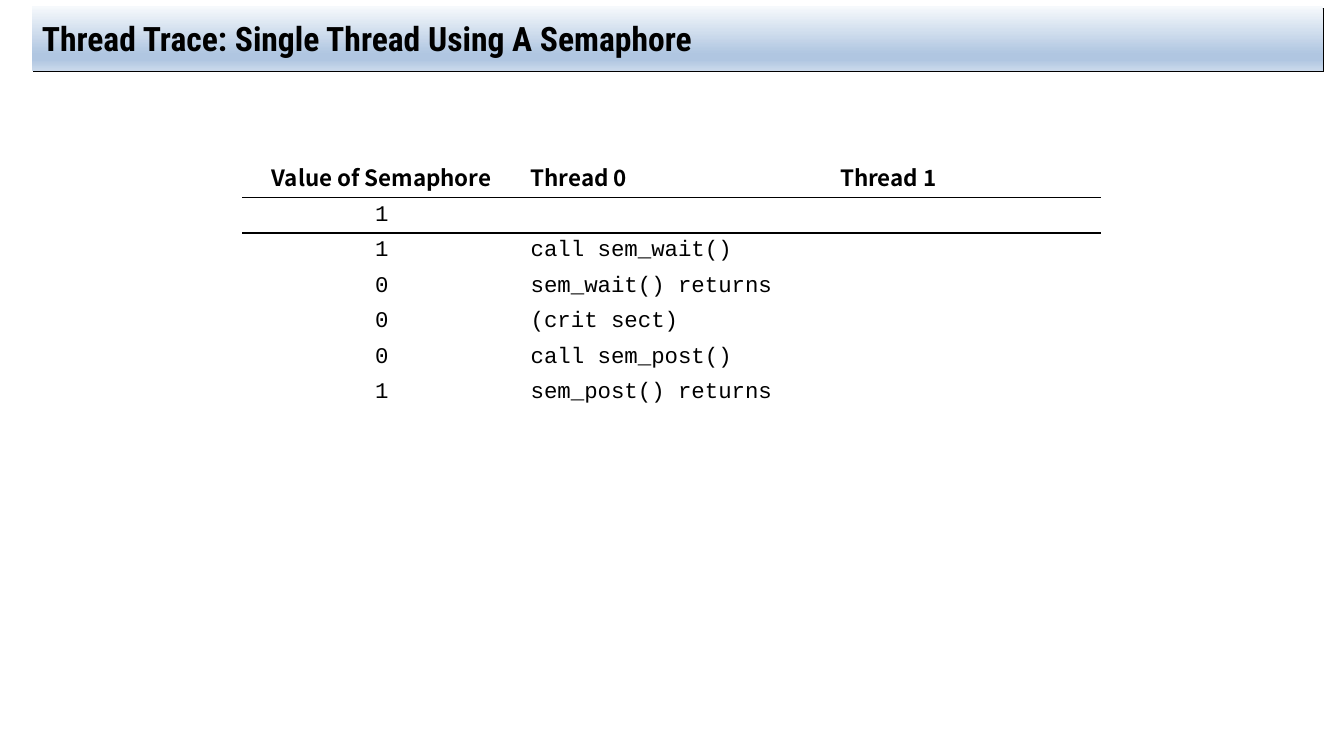
"""Build the slide that traces a single thread using a semaphore."""
from typing import NamedTuple

from lxml.etree import SubElement
from pptx import Presentation
from pptx.dml.color import RGBColor
from pptx.enum.text import MSO_ANCHOR as Anchor, MSO_AUTO_SIZE as AutoSize, PP_ALIGN as Align
from pptx.oxml import parse_xml
from pptx.oxml.ns import nsdecls, qn
from pptx.util import Cm, Pt

BLACK = RGBColor(0x00, 0x00, 0x00)
WHITE = RGBColor(0xFF, 0xFF, 0xFF)
PALE_BLUE = RGBColor(0xF6, 0xF9, 0xFC)
MID_BLUE = RGBColor(0xB0, 0xC6, 0xE1)
LIGHT_BLUE = RGBColor(0xCA, 0xD9, 0xEB)

TITLE_GRADIENT = ((0, PALE_BLUE), (74, MID_BLUE), (83, MID_BLUE), (100, LIGHT_BLUE))
TITLE_FONT, HEADER_FONT, CODE_FONT = "Roboto Condensed", "Noto Sans CJK KR", "Courier New"
TABLE_SIZE = Pt(16)
COLUMN_WIDTHS = (Cm(7.0), Cm(7.8), Cm(6.8))
HEADER_HEIGHT, ROW_HEIGHT = Cm(1.06), Cm(0.89)
RULED_ROWS = (0, 1)


class TraceRow(NamedTuple):
    semaphore: str
    thread_0: str = ""
    thread_1: str = ""


TRACE = (
    TraceRow("Value of Semaphore", "Thread 0", "Thread 1"),
    TraceRow("1"),
    TraceRow("1", "call sem_wait()"),
    TraceRow("0", "sem_wait() returns"),
    TraceRow("0", "(crit sect)"),
    TraceRow("0", "call sem_post()"),
    TraceRow("1", "sem_post() returns"),
)


def add_text(paragraph, text: str, font: str, size: Pt, bold: bool) -> None:
    run = paragraph.add_run()
    run.text = text
    run.font.name = font
    run.font.size = size
    run.font.bold = bold
    run.font.color.rgb = BLACK


def add_title(slide, text: str) -> None:
    title = slide.shapes.title
    title.left, title.top, title.width, title.height = Cm(0.8), Cm(0.16), Cm(32.53), Cm(1.62)
    stops = "".join(
        f'<a:gs pos="{position * 1000}"><a:srgbClr val="{color}"/></a:gs>'
        for position, color in TITLE_GRADIENT
    )
    properties = title.element.spPr
    properties.append(parse_xml(
        f'<a:gradFill {nsdecls("a")}><a:gsLst>{stops}</a:gsLst><a:lin ang="5400000"/></a:gradFill>'
    ))
    title.line.fill.background()
    properties.append(parse_xml(
        f'<a:effectLst {nsdecls("a")}><a:outerShdw blurRad="0" dist="{Pt(1.4)}" dir="2700000" '
        f'algn="tl" rotWithShape="0"><a:srgbClr val="{BLACK}"/></a:outerShdw></a:effectLst>'
    ))
    frame = title.text_frame
    frame.auto_size = AutoSize.NONE
    frame.vertical_anchor = Anchor.MIDDLE
    paragraph = frame.paragraphs[0]
    paragraph.alignment = Align.LEFT
    add_text(paragraph, text, TITLE_FONT, Pt(24), True)


def set_border(cell, side: str, ruled: bool) -> None:
    color, width = (BLACK, Pt(1.5)) if ruled else (WHITE, Pt(1))
    cell._tc.get_or_add_tcPr().append(parse_xml(
        f'<a:ln{side} {nsdecls("a")} w="{width}"><a:solidFill>'
        f'<a:srgbClr val="{color}"/></a:solidFill></a:ln{side}>'
    ))


def format_cell(cell, text: str, row: int, column: int) -> None:
    for side, ruled in (("L", False), ("R", False),
                        ("T", row - 1 in RULED_ROWS), ("B", row in RULED_ROWS)):
        set_border(cell, side, ruled)
    cell.fill.solid()
    cell.fill.fore_color.rgb = WHITE
    paragraph = cell.text_frame.paragraphs[0]
    paragraph.alignment = Align.CENTER if column == 0 else Align.LEFT
    if text:
        is_header = row == 0
        add_text(paragraph, text, HEADER_FONT if is_header else CODE_FONT, TABLE_SIZE, is_header)
    else:
        end = SubElement(paragraph._p, qn("a:endParaRPr"), sz=str(int(TABLE_SIZE.pt * 100)))
        SubElement(end, qn("a:latin"), typeface=CODE_FONT)


def add_trace_table(slide) -> None:
    height = HEADER_HEIGHT + ROW_HEIGHT * (len(TRACE) - 1)
    table = slide.shapes.add_table(
        len(TRACE), len(COLUMN_WIDTHS), Cm(6.12), Cm(3.91), sum(COLUMN_WIDTHS), height
    ).table
    table.first_row = table.horz_banding = False
    for column, width in zip(table.columns, COLUMN_WIDTHS):
        column.width = width
    for row, trace in enumerate(TRACE):
        table.rows[row].height = ROW_HEIGHT if row else HEADER_HEIGHT
        for column, text in enumerate(trace):
            format_cell(table.cell(row, column), text, row, column)


def main() -> None:
    presentation = Presentation()
    presentation.slide_width, presentation.slide_height = Cm(33.87), Cm(19.05)
    slide = presentation.slides.add_slide(presentation.slide_layouts[5])
    add_title(slide, "Thread Trace: Single Thread Using A Semaphore")
    add_trace_table(slide)
    presentation.save("out.pptx")


if __name__ == "__main__":
    main()
